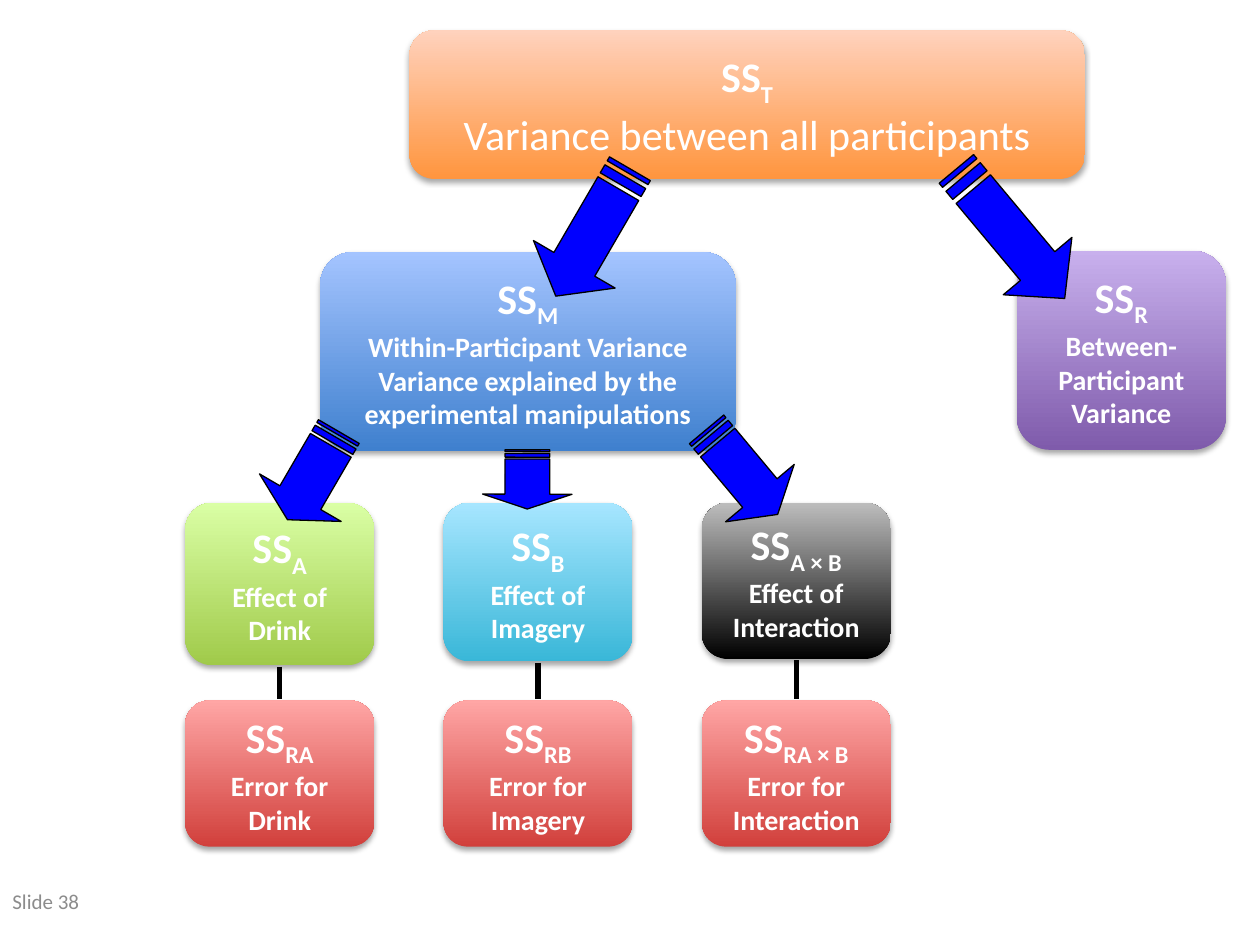
from lxml import etree
from pptx import Presentation
from pptx.dml.color import RGBColor
from pptx.enum.shapes import MSO_CONNECTOR, MSO_SHAPE
from pptx.enum.text import MSO_ANCHOR, PP_ALIGN
from pptx.oxml import parse_xml
from pptx.oxml.ns import qn
from pptx.util import Inches, Pt

ROUNDED_BOX = MSO_SHAPE.FLOWCHART_ALTERNATE_PROCESS
STRAIGHT = MSO_CONNECTOR.STRAIGHT
CENTER = PP_ALIGN.CENTER
LEFT = PP_ALIGN.LEFT
MIDDLE = MSO_ANCHOR.MIDDLE

SHADOW_XML = (
    '<a:effectLst xmlns:a="http://schemas.openxmlformats.org/drawingml/2006/main">'
    '<a:outerShdw blurRad="40000" dist="23000" dir="5400000" rotWithShape="0">'
    '<a:srgbClr val="000000"><a:alpha val="35000"/></a:srgbClr>'
    '</a:outerShdw></a:effectLst>'
)

ORANGE = ("FF953E", "FFD2BD")
BLUE = ("3F80CE", "A4C4FF")
PURPLE = ("7F5BAB", "C8B0ED")
GREEN = ("A0CA4A", "DAFFA5")
CYAN = ("39B7D8", "A7E6FF")
BLACK = ("000000", "BDBDBD")
RED = ("D1403C", "FFA6A5")

# Arrow outlines on a grid 32 units long and 4 units wide, pointing right.
ARROW_GRID = (32, 4)
ARROW_HEAD = [(24, 0), (24, 1), (5, 1), (5, 3), (24, 3), (24, 4), (32, 2)]
ARROW_STRIPES = [
    [(start, 1), (end, 1), (end, 3), (start, 3)] for start, end in ((2, 4), (0, 1))
]


def color(hex_string):
    return RGBColor.from_string(hex_string)


def add_text(paragraph, text, size=24, bold=True, fill="FFFFFF", subscript=False):
    run = paragraph.add_run()
    run.text = text
    run.font.name = "Calibri"
    run.font.size = Pt(size)
    run.font.bold = bold
    run.font.color.rgb = color(fill)
    if subscript:
        run._r.get_or_add_rPr().set("baseline", "-25000")


class Diagram:
    """Holds the slide and the shared look of its elements."""

    arrow_fill = "0000FF"
    line_color = "000000"

    def __init__(self, slide):
        self.slide = slide

    def box(self, left, top, width, height, gradient, subscript, caption,
            caption_size=16, caption_bold=True):
        shape = self.slide.shapes.add_shape(
            ROUNDED_BOX, Inches(left), Inches(top), Inches(width), Inches(height))
        shape.fill.gradient()
        shape.fill.gradient_angle = 90
        for stop, hex_string in zip(shape.fill.gradient_stops, gradient):
            stop.color.rgb = color(hex_string)
        shape.line.fill.background()
        shape._element.spPr.append(parse_xml(SHADOW_XML))
        frame = shape.text_frame
        frame.word_wrap = True
        frame.vertical_anchor = MIDDLE
        heading = frame.paragraphs[0]
        add_text(heading, "SS")
        add_text(heading, subscript, subscript=True)
        body = frame.add_paragraph()
        add_text(body, caption, size=caption_size, bold=caption_bold)
        for paragraph in frame.paragraphs:
            paragraph.alignment = CENTER

    def striped_arrow(self, left, top, length, width, rotation):
        columns, rows = ARROW_GRID
        builder = self.slide.shapes.build_freeform(
            *ARROW_HEAD[0], scale=(Inches(length) / columns, Inches(width) / rows))
        builder.add_line_segments(ARROW_HEAD[1:])
        for stripe in ARROW_STRIPES:
            builder.move_to(*stripe[0])
            builder.add_line_segments(stripe[1:])
        shape = builder.convert_to_shape(Inches(left), Inches(top))
        shape.rotation = rotation
        shape.shadow.inherit = False
        shape.fill.solid()
        shape.fill.fore_color.rgb = color(self.arrow_fill)
        shape.line.color.rgb = color(self.line_color)
        shape.line.width = Pt(0.75)

    def vertical_line(self, x, top, bottom):
        line = self.slide.shapes.add_connector(
            STRAIGHT, Inches(x), Inches(top), Inches(x), Inches(bottom))
        line.line.color.rgb = color(self.line_color)
        line.line.width = Pt(3)
        etree.SubElement(line._element.spPr, qn("a:effectLst"))

    def label(self, left, top, width, height, text, **text_format):
        frame = self.slide.shapes.add_textbox(
            Inches(left), Inches(top), Inches(width), Inches(height)).text_frame
        frame.word_wrap = True
        frame.vertical_anchor = MIDDLE
        frame.paragraphs[0].alignment = LEFT
        add_text(frame.paragraphs[0], text, **text_format)


def main():
    presentation = Presentation()
    presentation.slide_width = Inches(10)
    presentation.slide_height = Inches(7.5)
    slide = presentation.slides.add_slide(presentation.slide_layouts[6])
    diagram = Diagram(slide)

    diagram.label(0, 6.95, 0.94, 0.4, "Slide 38", size=12, bold=False, fill="8C8C8C")
    diagram.box(3.25, 0.24, 5.36, 1.18, ORANGE, "T",
                "Variance between all participants",
                caption_size=24, caption_bold=False)
    diagram.box(2.54, 2, 3.3, 1.58, BLUE, "M",
                "Within-Participant Variance "
                "Variance explained by the experimental manipulations")
    diagram.box(8.07, 1.99, 1.66, 1.58, PURPLE, "R", "Between-Participant Variance")

    box_width, effect_top, error_top = 1.5, 3.99, 5.56
    effects = [
        ("A", "Drink", GREEN, 1.29),
        ("B", "Imagery", CYAN, 1.26),
        ("A × B", "Interaction", BLACK, 1.24),
    ]
    for column, (subscript, name, gradient, height) in enumerate(effects):
        left = 1.47 + 2.05 * column
        diagram.box(left, effect_top, box_width, height, gradient,
                    subscript, f"Effect of {name}")
        diagram.box(left, error_top, box_width, 1.16, RED,
                    f"R{subscript}", f"Error for {name}")
        diagram.vertical_line(left + box_width / 2, effect_top + height + 0.01,
                              error_top - 0.01)

    arrows = [
        (4.12, 1.47, 1.17, 0.75, 120.2),
        (7.35, 1.5, 1.34, 0.71, 50.1),
        (2.08, 3.4, 0.81, 0.75, 120.2),
        (3.95, 3.45, 0.47, 0.71, 90.1),
        (5.45, 3.39, 0.88, 0.71, 50.1),
    ]
    for arrow in arrows:
        diagram.striped_arrow(*arrow)

    presentation.save("out.pptx")


if __name__ == "__main__":
    main()
